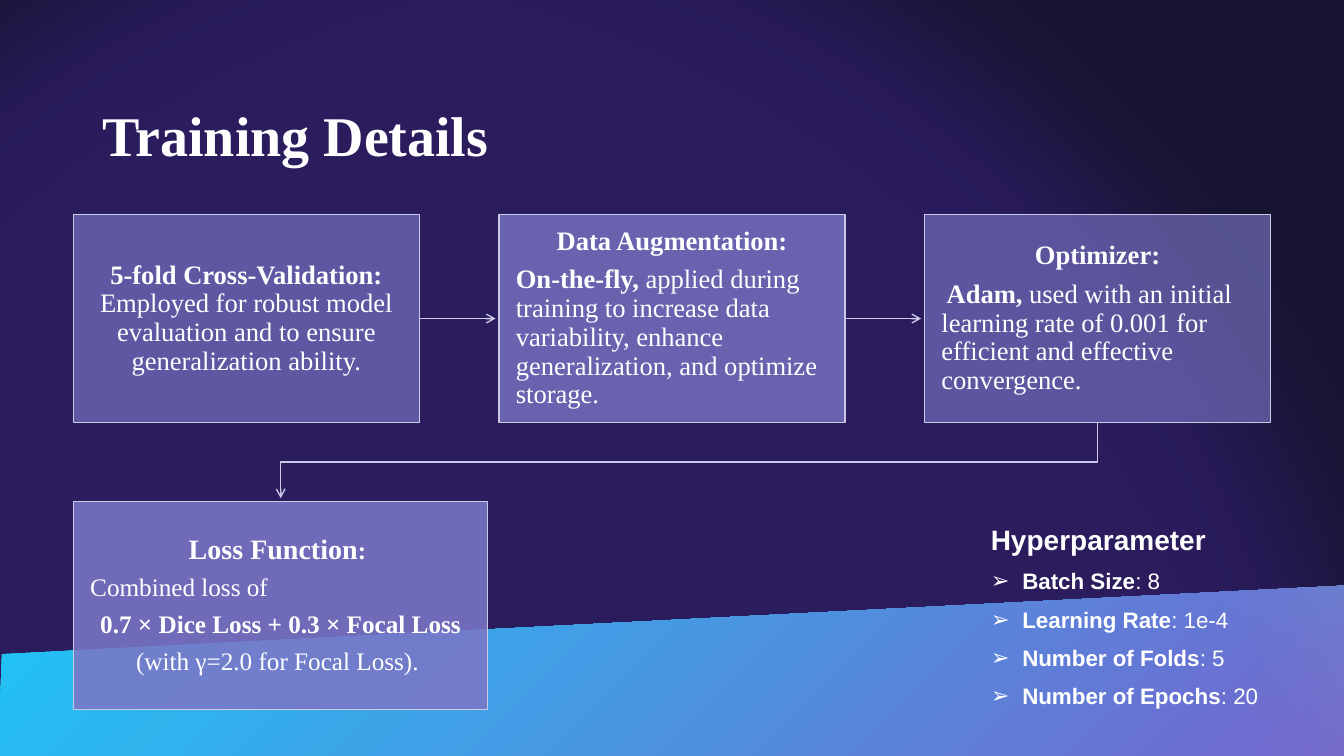
"""Build the Training Details slide: four linked step boxes and a hyperparameter list."""
from dataclasses import dataclass

from lxml.etree import SubElement
from pptx import Presentation
from pptx.dml.color import RGBColor as Color
from pptx.enum.shapes import MSO_CONNECTOR as Connector, MSO_SHAPE as Preset
from pptx.enum.text import MSO_ANCHOR as Anchor, MSO_AUTO_SIZE as Fit, PP_ALIGN as Align
from pptx.oxml.ns import qn
from pptx.util import Pt


@dataclass(frozen=True)
class Theme:
    night: Color = Color.from_string("171431")
    glow: Color = Color.from_string("6436E6")
    violet: Color = Color.from_string("7A77C6")
    cyan: Color = Color.from_string("08F7FE")
    edge: Color = Color.from_string("CAC9E8")
    white: Color = Color.from_string("FFFFFF")
    serif: str = "Times New Roman"
    sans: str = "Arial"
    title: float = 40
    heading: float = 20
    step: float = 19
    loss: float = 18
    item: float = 16


def assign(target, values):
    for name, value in values.items():
        setattr(target, name, value)


class SlideBuilder:
    def __init__(self, deck, theme):
        self.theme = theme
        self.slide = deck.slides.add_slide(deck.slide_layouts[1])
        self.shapes = self.slide.shapes
        self.slide.background.fill.solid()
        self.slide.background.fill.fore_color.rgb = theme.night

    def place(self, shape, left, top, width, height):
        assign(shape, {"left": Pt(left), "top": Pt(top), "width": Pt(width), "height": Pt(height)})

    def tint(self, shape, color, opacity):
        shape.shadow.inherit = False
        shape.fill.solid()
        shape.fill.fore_color.rgb = color
        swatch = shape.element.spPr.find(f"{qn('a:solidFill')}/{qn('a:srgbClr')}")
        SubElement(swatch, qn("a:alpha"), val=str(opacity * 1000))

    def send_back(self, shape):
        self.shapes.element.insert(2, shape.element)

    def outline(self, points, close):
        (start_x, start_y), *rest = [(Pt(x), Pt(y)) for x, y in points]
        builder = self.shapes.build_freeform(start_x, start_y)
        builder.add_line_segments(rest, close=close)
        shape = builder.convert_to_shape()
        shape.shadow.inherit = False
        return shape

    def glow(self, left, top, width, height, opacity, softness):
        shape = self.shapes.add_shape(Preset.OVAL, Pt(left), Pt(top), Pt(width), Pt(height))
        self.tint(shape, self.theme.glow, opacity)
        shape.line.fill.background()
        effects = shape.element.spPr.find(qn("a:effectLst"))
        SubElement(effects, qn("a:softEdge"), rad=str(Pt(softness)))
        self.send_back(shape)

    def wedge(self, points):
        shape = self.outline(points, close=True)
        shape.fill.gradient()
        shape.fill.gradient_angle = 315
        for stop, color in zip(shape.fill.gradient_stops, (self.theme.cyan, self.theme.violet)):
            stop.color.rgb = color
        shape.line.fill.background()
        self.send_back(shape)

    def arrow(self, *points):
        if len(points) == 2:
            ends = [Pt(value) for point in points for value in point]
            line = self.shapes.add_connector(Connector.STRAIGHT, *ends)
        else:
            line = self.outline(points, close=False)
            line.fill.background()
        line.line.width = Pt(1)
        line.line.color.rgb = self.theme.edge
        SubElement(line.element.spPr.find(qn("a:ln")), qn("a:tailEnd"), type="arrow")
        if len(points) == 2:
            SubElement(line.element.spPr, qn("a:effectLst"))

    def fill_text(self, frame, paragraphs, font, **spacing):
        for index, (align, spans) in enumerate(paragraphs):
            para = frame.add_paragraph() if index else frame.paragraphs[0]
            assign(para, {"alignment": align, "line_spacing": 0.9, **spacing})
            for text, size, bold in spans:
                span = para.add_run()
                span.text = text
                assign(span.font, {"name": font, "size": Pt(size), "bold": bold})
                span.font.color.rgb = self.theme.white

    def step(self, left, top, width, height, opacity, paragraphs):
        box = self.shapes.add_shape(Preset.RECTANGLE, Pt(left), Pt(top), Pt(width), Pt(height))
        self.tint(box, self.theme.violet, opacity)
        box.line.color.rgb = self.theme.edge
        box.line.width = Pt(1)
        assign(box.text_frame, {
            "word_wrap": True, "vertical_anchor": Anchor.MIDDLE,
            "margin_left": Pt(12), "margin_right": Pt(12),
            "margin_top": Pt(13), "margin_bottom": Pt(13),
        })
        self.fill_text(box.text_frame, paragraphs, self.theme.serif, space_after=Pt(7))

    def title(self, text, *area):
        box = self.shapes.title
        self.place(box, *area)
        assign(box.text_frame, {"auto_size": Fit.NONE, "vertical_anchor": Anchor.MIDDLE})
        self.fill_text(box.text_frame, [(Align.LEFT, [(text, self.theme.title, True)])], self.theme.serif)

    def bullets(self, heading, items, *area):
        box = self.slide.placeholders[1]
        self.place(box, *area)
        assign(box.text_frame, {"auto_size": Fit.NONE, "vertical_anchor": Anchor.TOP})
        size = self.theme.item
        paragraphs = [(Align.LEFT, [(heading, self.theme.heading, True)])]
        paragraphs += [(Align.LEFT, [(name, size, True), (f": {value}", size, False)])
                       for name, value in items]
        self.fill_text(box.text_frame, paragraphs, self.theme.sans,
                       space_before=Pt(10), space_after=Pt(0))
        for index, para in enumerate(box.text_frame.paragraphs):
            layout = para._p.get_or_add_pPr()
            indent = Pt(22.5) if index else 0
            layout.set("marL", str(indent))
            layout.set("indent", str(-indent))
            if index:
                SubElement(layout, qn("a:buChar"), char="➢")
            else:
                SubElement(layout, qn("a:buNone"))


def main():
    deck = Presentation()
    assign(deck, {"slide_width": Pt(960), "slide_height": Pt(540)})
    theme = Theme()
    page = SlideBuilder(deck, theme)

    page.glow(-417.6, -202.3, 1499, 1518.5, opacity=25, softness=100)
    page.wedge([(960, 540), (-1.4, 541.4), (1.4, 467.3), (960, 418.3)])
    page.title("Training Details", 66, 65, 828, 68)

    left, top, width, height = 52.5, 153.3, 247, 148.5
    column, row, loss_width, clearance = 304, 205, 296, 2.5
    size, small = theme.step, theme.loss
    steps = [
        (66, [(Align.CENTER, [
            ("5-fold Cross-Validation: ", size, True),
            ("Employed for robust model evaluation and to ensure generalization ability.", size, False)])]),
        (79, [(Align.CENTER, [("Data Augmentation:", size, True)]),
              (Align.LEFT, [
                  ("On-the-fly,", size, True),
                  (" applied during training to increase data variability, enhance generalization, "
                   "and optimize storage.", size, False)])]),
        (63, [(Align.CENTER, [("Optimizer:", size, True)]),
              (Align.LEFT, [
                  (" Adam,", size, True),
                  (" used with an initial learning rate of 0.001 for efficient and effective "
                   "convergence.", size, False)])]),
    ]
    for index, (opacity, paragraphs) in enumerate(steps):
        x = left + index * column
        if index:
            middle = top + height / 2
            page.arrow((x - column + width, middle), (x - clearance, middle))
        page.step(x, top, width, height, opacity, paragraphs)

    bottom, loss_top = top + height, top + row
    bend = (bottom + loss_top) / 2
    start, end = left + 2 * column + width / 2, left + loss_width / 2
    page.arrow((start, bottom), (start, bend), (end, bend), (end, loss_top - clearance))
    page.step(left, loss_top, loss_width, height, 87, [
        (Align.CENTER, [("Loss Function", theme.heading, True), (": ", small, True)]),
        (Align.LEFT, [("Combined loss of", small, False)]),
        (Align.CENTER, [("0.7 × Dice Loss + 0.3 × Focal Loss", small, True)]),
        (Align.CENTER, [("(with γ=2.0 for Focal Loss). ", small, False)]),
    ])

    page.bullets("Hyperparameter", [
        ("Batch Size", "8"), ("Learning Rate", "1e-4"),
        ("Number of Folds", "5"), ("Number of Epochs", "20"),
    ], 700.5, 372.3, 219, 161)
    deck.save("out.pptx")


if __name__ == "__main__":
    main()
